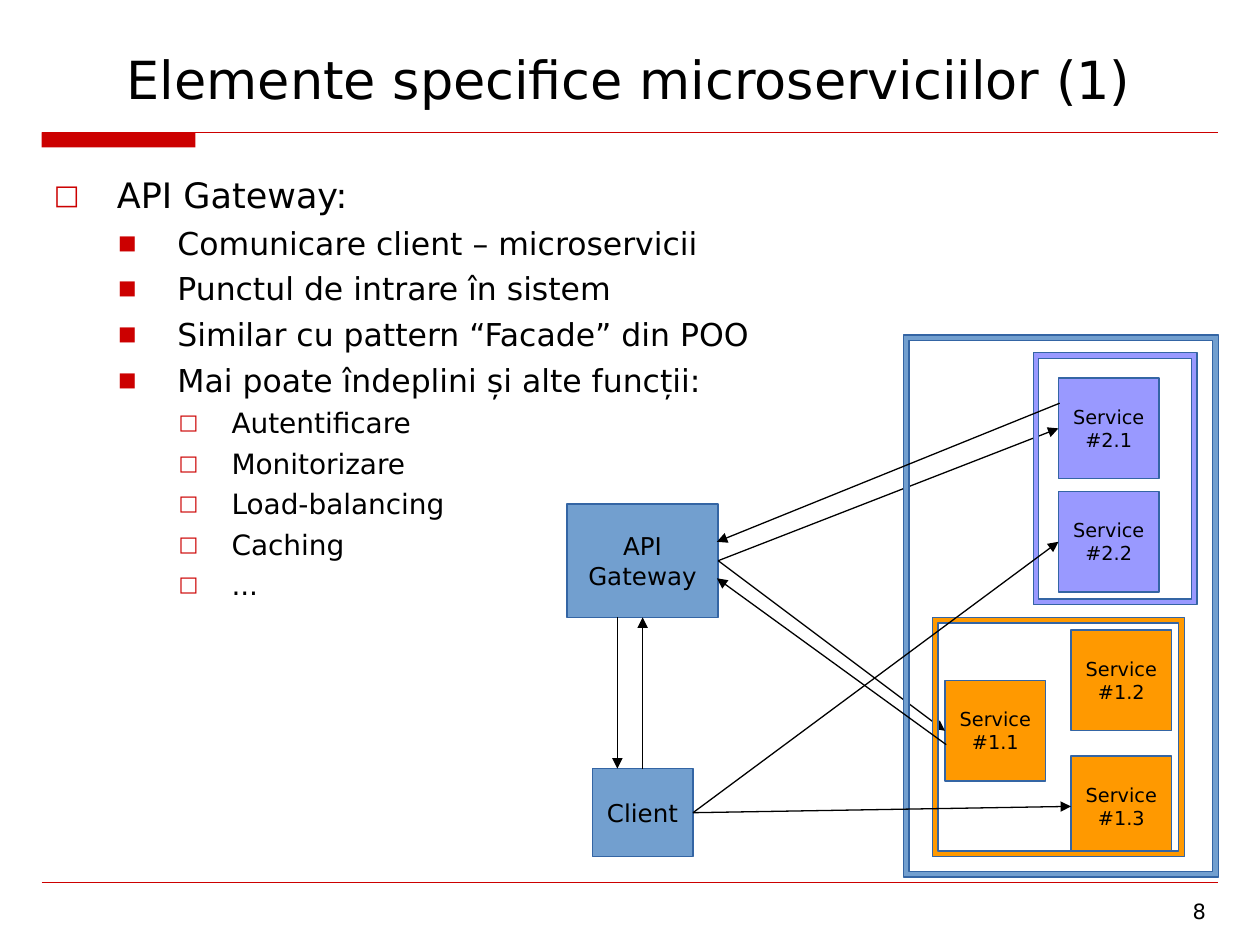
from dataclasses import dataclass

from lxml import etree
from pptx import Presentation
from pptx import util as u
from pptx.dml.color import RGBColor
from pptx.enum import shapes, text
from pptx.oxml import ns

COLUMNS, ROWS = 100, 75  # grid over the slide, 0.1 inch a cell
TOP, LEFT, BOTTOM, RIGHT = range(4)  # connection sites of a rectangle


@dataclass(frozen=True)
class Theme:
    font: str = "DejaVu Sans"
    ink: str = "000000"
    accent: str = "CC0000"
    outline: str = "3465A4"
    blue: str = "729FCF"
    violet: str = "9999FF"
    orange: str = "FF9900"
    title_size: float = 30
    node_size: float = 14
    service_size: float = 11
    number_size: float = 12
    line_width: float = 0.75
    hairline: float = 0.25


@dataclass(frozen=True)
class Level:
    size: float
    margin: float
    hanging: float
    before: float
    bullet: str
    bullet_percent: int


THEME = Theme()
LEVELS = [
    Level(20, 0.5, 0.5, 5, "□", 78),
    Level(18, 0.98, 0.47, 4.5, "■", 62),
    Level(16, 1.41, 0.42, 4, "□", 75),
]
OUTLINE = [
    (0, "API Gateway:"),
    (1, "Comunicare client – microservicii"),
    (1, "Punctul de intrare în sistem"),
    (1, "Similar cu pattern “Facade” din POO"),
    (1, "Mai poate îndeplini și alte funcții:"),
    (2, "Autentificare"),
    (2, "Monitorizare"),
    (2, "Load-balancing"),
    (2, "Caching"),
    (2, "..."),
]
SERVICES = [  # number, column, row, colour
    ("#1.3", 85, 60, THEME.orange),
    ("#1.1", 75, 54, THEME.orange),
    ("#1.2", 85, 50, THEME.orange),
    ("#2.1", 84, 30, THEME.violet),
    ("#2.2", 84, 39, THEME.violet),
]
FRAMES = [  # column, row, columns, rows, colour
    (71.7, 26.6, 25, 43, THEME.blue),
    (82, 28, 13, 20, THEME.violet),
    (74, 49, 20, 19, THEME.orange),
]
FRAME_THICKNESS = 0.45
REPLIES = [  # arrows that end away from the middle of a side
    ((84.1, 32), (56.9, 43)),
    ((75.1, 59.1), (56.9, 45.9)),
    ((49, 49), (49, 61)),
]


def grid(cells):
    return u.Inches(cells / 10)


def add_run(paragraph, words, size):
    run = paragraph.add_run()
    run.text = words
    run.font.name = THEME.font
    run.font.size = u.Pt(size)
    run.font.color.rgb = RGBColor.from_string(THEME.ink)


def add_lines(frame, lines, size, alignment):
    for index, words in enumerate(lines):
        paragraph = frame.add_paragraph() if index else frame.paragraphs[0]
        paragraph.alignment = alignment
        add_run(paragraph, words, size)


def add_text_box(slide, *place, anchor=text.MSO_ANCHOR.TOP):
    frame = slide.shapes.add_textbox(*map(grid, place)).text_frame
    frame.word_wrap = True
    frame.vertical_anchor = anchor
    return frame


def add_filled(slide, kind, place, fill, outlined=True):
    shape = slide.shapes.add_shape(kind, *map(grid, place))
    shape.shadow.inherit = False
    shape.fill.solid()
    shape.fill.fore_color.rgb = RGBColor.from_string(fill)
    if outlined:
        shape.line.color.rgb = RGBColor.from_string(THEME.outline)
        shape.line.width = u.Pt(THEME.line_width)
    else:
        shape.line.fill.background()
    return shape


def add_node(slide, place, lines, fill, size):
    shape = add_filled(slide, shapes.MSO_SHAPE.RECTANGLE, place, fill)
    shape.text_frame.word_wrap = False
    shape.text_frame.vertical_anchor = text.MSO_ANCHOR.MIDDLE
    add_lines(shape.text_frame, lines, size, text.PP_ALIGN.CENTER)
    return shape


def add_frame(slide, column, row, columns, rows, fill):
    place = (column, row, columns, rows)
    shape = add_filled(slide, shapes.MSO_SHAPE.FRAME, place, fill)
    shape.adjustments[0] = FRAME_THICKNESS / min(columns, rows)


def add_line(slide, start, end, color, width):
    line = slide.shapes.add_connector(
        shapes.MSO_CONNECTOR.STRAIGHT, *map(grid, (*start, *end)))
    line.line.color.rgb = RGBColor.from_string(color)
    line.line.width = u.Pt(width)
    etree.SubElement(line._element.spPr, ns.qn("a:effectLst"))
    return line


def add_arrow(slide, start=(0, 0), end=(0, 0)):
    arrow = add_line(slide, start, end, THEME.ink, THEME.line_width)
    etree.SubElement(arrow.line._get_or_add_ln(), ns.qn("a:tailEnd"), type="triangle")
    return arrow


def join(slide, source, source_side, target, target_side):
    arrow = add_arrow(slide)
    arrow.begin_connect(source, source_side)
    arrow.end_connect(target, target_side)


def add_bullet(paragraph, level):
    properties = paragraph._p.get_or_add_pPr()
    properties.set("marL", str(u.Inches(level.margin)))
    properties.set("indent", str(-u.Inches(level.hanging)))
    color = etree.SubElement(properties, ns.qn("a:buClr"))
    etree.SubElement(color, ns.qn("a:srgbClr"), val=THEME.accent)
    etree.SubElement(properties, ns.qn("a:buSzPct"), val=str(level.bullet_percent * 1000))
    etree.SubElement(properties, ns.qn("a:buFont"), typeface=THEME.font)
    etree.SubElement(properties, ns.qn("a:buChar"), char=level.bullet)


def add_outline(slide):
    frame = add_text_box(slide, 3.3, 13.3, 93.3, 55.8)
    for index, (depth, words) in enumerate(OUTLINE):
        level = LEVELS[depth]
        paragraph = frame.add_paragraph() if index else frame.paragraphs[0]
        paragraph.level = depth
        paragraph.space_before = u.Pt(level.before)
        add_bullet(paragraph, level)
        add_run(paragraph, words, level.size)


def add_page_furniture(slide):
    add_filled(slide, shapes.MSO_SHAPE.RECTANGLE, (3.3, 10.5, 12.2, 1.2),
               THEME.accent, outlined=False)
    for row, width in ((10.5, THEME.line_width), (70, THEME.hairline)):
        add_line(slide, (3.3, row), (96.7, row), THEME.accent, width)
    number = add_text_box(slide, 91.7, 70.8, 5, 3.3)
    add_lines(number, ["8"], THEME.number_size, text.PP_ALIGN.RIGHT)
    title = add_text_box(slide, 3.3, 2.5, 93.3, 6.7, anchor=text.MSO_ANCHOR.BOTTOM)
    add_lines(title, ["Elemente specifice microserviciilor (1)"],
              THEME.title_size, text.PP_ALIGN.CENTER)


def add_diagram(slide):
    # Services, gateway and client
    services = {
        number: add_node(slide, (column, row, 8, 8), ["Service", number],
                         fill, THEME.service_size)
        for number, column, row, fill in SERVICES
    }
    gateway = add_node(slide, (45, 40, 12, 9), ["API", "Gateway"],
                       THEME.blue, THEME.node_size)
    client = add_node(slide, (47, 61, 8, 7), ["Client"], THEME.blue, THEME.node_size)

    # Requests through the gateway, which run under the frames
    join(slide, client, TOP, gateway, BOTTOM)
    for number in ("#2.1", "#1.1"):
        join(slide, gateway, RIGHT, services[number], LEFT)

    # Frames around the groups of services
    for frame in FRAMES:
        add_frame(slide, *frame)

    # Direct requests and replies, which run over the frames
    for number in ("#2.2", "#1.3"):
        join(slide, client, RIGHT, services[number], LEFT)
    for start, end in REPLIES:
        add_arrow(slide, start, end)


def main():
    presentation = Presentation()
    presentation.slide_width, presentation.slide_height = grid(COLUMNS), grid(ROWS)
    slide = presentation.slides.add_slide(presentation.slide_layouts[6])
    add_page_furniture(slide)
    add_outline(slide)
    add_diagram(slide)
    presentation.save("out.pptx")


if __name__ == "__main__":
    main()
